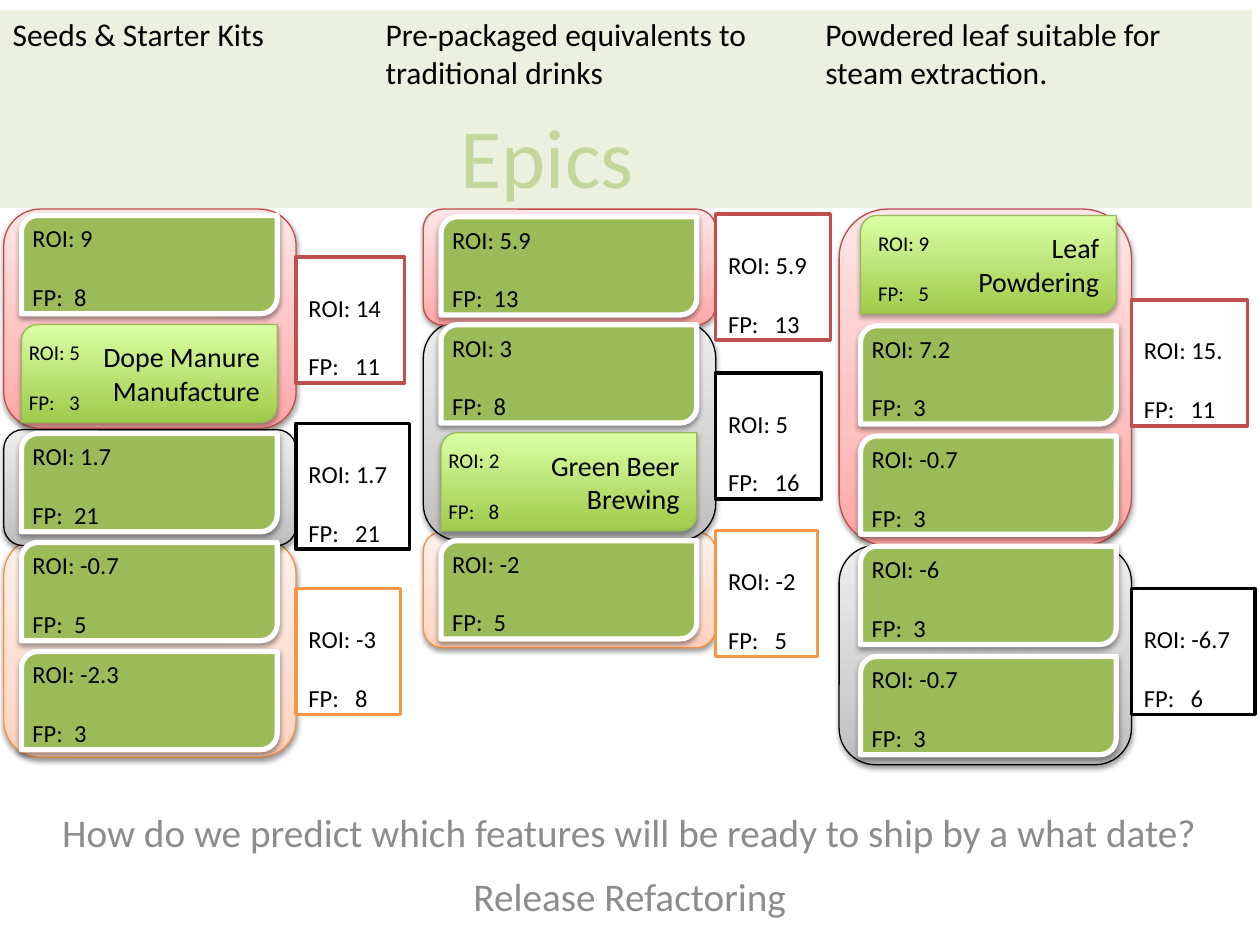
from lxml import etree
from pptx import Presentation
from pptx.dml.color import RGBColor
from pptx.enum.shapes import MSO_SHAPE
from pptx.enum.text import MSO_ANCHOR, MSO_AUTO_SIZE, PP_ALIGN
from pptx.oxml.ns import qn
from pptx.util import Inches, Pt

RECT, PANEL = MSO_SHAPE.RECTANGLE, MSO_SHAPE.ROUNDED_RECTANGLE
CARD = MSO_SHAPE.ROUND_2_DIAG_RECTANGLE
TOP, MIDDLE = MSO_ANCHOR.TOP, MSO_ANCHOR.MIDDLE
LEFT, RIGHT, CENTER, JUSTIFY = PP_ALIGN.LEFT, PP_ALIGN.RIGHT, PP_ALIGN.CENTER, PP_ALIGN.JUSTIFY
FIXED = MSO_AUTO_SIZE.NONE

FONT = "Calibri"
NO_TABLE_STYLE = "{2D5ABB26-0587-4C30-8999-92F81FD0307C}"
EPICS = ["Seeds & Starter Kits", "Pre-packaged equivalents to traditional drinks",
         "Powdered leaf suitable for steam extraction."]
EPIC_WIDTHS = [2.96, 3.49, 3.49]
QUESTION = ["How do we predict which features will be ready to ship by a what date?",
            "Release Refactoring"]

# tone: gradient stops, panel line, tag line
TONES = {
    "orange": ([(0, "FFD2BD"), (35, "FFDED0"), (100, "FFF2ED")], "F69240", "F79646"),
    "black": ([(0, "BDBDBD"), (35, "D1D1D1"), (100, "EEEEEE")], "000000", "000000"),
    "red": ([(0, "FFA6A5"), (35, "FFC0BF"), (100, "FFE7E7")], "BF4C48", "C0504D"),
}
FEATURE_STOPS = [(0, "A0CA4A"), (100, "DAFFA5")]
PANEL_WIDTH, PANEL_HEIGHTS = 2.32, {1: 0.92, 2: 1.74, 3: 2.67}
CARD_WIDTH, CARD_HEIGHT = 2.03, 0.78

# releases: tone, rows, top, tag top, tag width, ROI, FP; cards: ROI, FP, feature lines
LANES = [
    {"left": 0.03, "card_left": 0.17, "top": 1.71, "pitch": 0.865, "note_shift": -0.04,
     "releases": [("red", 2, 1.66, 2.04, 0.86, "14", "11"),
                  ("black", 1, 3.41, 3.36, 0.9, "1.7", "21"),
                  ("orange", 2, 4.27, 4.67, 0.83, "-3", "8")],
     "cards": [("9", "8", []), ("5", "3", ["Dope Manure Manufacture"]),
               ("1.7", "21", []), ("-0.7", "5", []), ("-2.3", "3", [])]},
    {"left": 3.36, "card_left": 3.5, "top": 1.72, "pitch": 0.857, "note_shift": -0.04,
     "releases": [("red", 1, 1.66, 1.7, 0.91, "5.9", "13"),
                  ("black", 2, 2.55, 2.96, 0.84, "5", "16"),
                  ("orange", 1, 4.22, 4.21, 0.81, "-2", "5")],
     "cards": [("5.9", "13", []), ("3", "8", []),
               ("2", "8", ["Green Beer Brewing"]), ("-2", "5", [])]},
    {"left": 6.66, "card_left": 6.83, "top": 1.71, "pitch": 0.875, "note_shift": 0.04,
     "releases": [("red", 3, 1.66, 2.38, 0.92, "15.", "11"),
                  ("black", 2, 4.33, 4.67, 0.98, "-6.7", "6")],
     "cards": [("9", "5", ["Leaf", "Powdering"]), ("7.2", "3", []),
               ("-0.7", "3", []), ("-6", "3", []), ("-0.7", "3", [])]},
]


def rgb(value):
    """Turn a hex string into a colour."""
    return RGBColor.from_string(value)


def write(frame, lines, size, color="000000", align=LEFT, anchor=TOP, spacing=None,
          gap=0, tab=None):
    """Write lines as paragraphs of one run each."""
    frame.word_wrap = True
    frame.vertical_anchor = anchor
    for index, line in enumerate(lines):
        paragraph = frame.paragraphs[0] if index == 0 else frame.add_paragraph()
        if tab:
            stops = etree.SubElement(paragraph._p.get_or_add_pPr(), qn("a:tabLst"))
            etree.SubElement(stops, qn("a:tab"), pos=str(Inches(tab)), algn="l")
        paragraph.alignment = align
        paragraph.space_before = Pt(gap if index else 0)
        if spacing:
            paragraph.line_spacing = spacing
        run = paragraph.add_run()
        run.text = line
        run.font.name, run.font.size = FONT, Pt(size)
        run.font.color.rgb = rgb(color)


def add_box(slide, kind, place, fill, line, width, shadow=None):
    """Add a shape with a plain or gradient fill and an optional shadow."""
    box = slide.shapes.add_shape(kind, *map(Inches, place))
    if isinstance(fill, str):
        box.fill.solid()
        box.fill.fore_color.rgb = rgb(fill)
    else:
        box.fill.gradient()
        box.fill.gradient_angle = 90
        stops = box._element.spPr.find(".//" + qn("a:gsLst"))
        for old in list(stops):
            stops.remove(old)
        for share, color in fill:
            stop = etree.SubElement(stops, qn("a:gs"), pos=str(share * 1000))
            etree.SubElement(stop, qn("a:srgbClr"), val=color)
    box.line.color.rgb, box.line.width = rgb(line), Pt(width)
    box.shadow.inherit = False
    if shadow:
        alpha, distance = shadow
        effects = box._element.spPr.find(qn("a:effectLst"))
        outer = etree.SubElement(effects, qn("a:outerShdw"), blurRad=str(Pt(3.1)),
                                 dist=str(Pt(distance)), dir="5400000", rotWithShape="0")
        shade = etree.SubElement(outer, qn("a:srgbClr"), val="000000")
        etree.SubElement(shade, qn("a:alpha"), val=str(alpha * 1000))
    return box


def write_score(frame, roi, points, size, tab):
    """Write return on investment above function points."""
    write(frame, [f"ROI: {roi}", f"FP:\t{points}"], size, spacing=2, tab=tab)


def add_text(slide, place):
    """Add a text box and return its frame."""
    return slide.shapes.add_textbox(*map(Inches, place)).text_frame


def add_releases(slide):
    """Draw the release panels from the last tone to the first, then their tags."""
    for tone, (stops, line, _) in TONES.items():
        for lane in LANES:
            for name, rows, top, *_ in lane["releases"]:
                if name == tone:
                    place = (lane["left"], top, PANEL_WIDTH, PANEL_HEIGHTS[rows])
                    add_box(slide, PANEL, place, stops, line, 0.75, (38, 1.6))
    for lane in LANES:
        for tone, _, _, top, width, roi, points in lane["releases"]:
            place = (lane["left"] + PANEL_WIDTH, top, width, 1)
            tag = add_box(slide, RECT, place, "FFFFFF", TONES[tone][2], 2)
            write_score(tag.text_frame, roi, points, 14, 0.37)


def add_epics(slide):
    """Draw the band of epics with its heading."""
    place = map(Inches, (0, 0.08, sum(EPIC_WIDTHS), 1.57))
    table = slide.shapes.add_table(1, len(EPICS), *place).table
    table.first_row = table.horz_banding = False
    table._tbl.tblPr[0].text = NO_TABLE_STYLE
    for column, width, cell, epic in zip(table.columns, EPIC_WIDTHS, table.rows[0].cells, EPICS):
        column.width = Inches(width)
        cell.fill.solid()
        cell.fill.fore_color.rgb = rgb("EBF1DE")
        write(cell.text_frame, [epic], 18)
    write(add_text(slide, (3.56, 0.78, 2.87, 0.91)), ["Epics"], 48, "C3D69B", JUSTIFY)


def add_cards(slide):
    """Draw each lane's feature cards at an equal pitch."""
    for lane in LANES:
        left = lane["card_left"]
        for row, (roi, points, feature) in enumerate(lane["cards"]):
            top = lane["top"] + row * lane["pitch"]
            place = (left, top, CARD_WIDTH, CARD_HEIGHT)
            if feature:
                card = add_box(slide, CARD, place, FEATURE_STOPS, "98B955", 0.75, (35, 1.8))
                write(card.text_frame, feature, 16, align=RIGHT, anchor=MIDDLE)
                note = add_text(slide, (left + lane["note_shift"], top - 0.13, 0.75, 0.88))
                write_score(note, roi, points, 12, 0.32)
            else:
                add_box(slide, CARD, place, "9BBB59", "FFFFFF", 3, (38, 1.6))
                note = add_text(slide, (left - 0.01, top - 0.22, 0.97, 1))
                write_score(note, roi, points, 14, 0.33)


def main():
    """Build the release planning slide."""
    deck = Presentation()
    deck.slide_width, deck.slide_height = Inches(10), Inches(7.5)
    slide = deck.slides.add_slide(deck.slide_layouts[0])
    title, question = slide.placeholders
    title._element.getparent().remove(title._element)
    question.left, question.top, question.width, question.height = map(
        Inches, (0, 6.29, 10, 1.21))
    question.text_frame.auto_size = FIXED
    write(question.text_frame, QUESTION, 22.4, "8C8C8C", CENTER, spacing=1.2, gap=4.5)
    add_releases(slide)
    add_epics(slide)
    add_cards(slide)
    deck.save("out.pptx")


if __name__ == "__main__":
    main()
